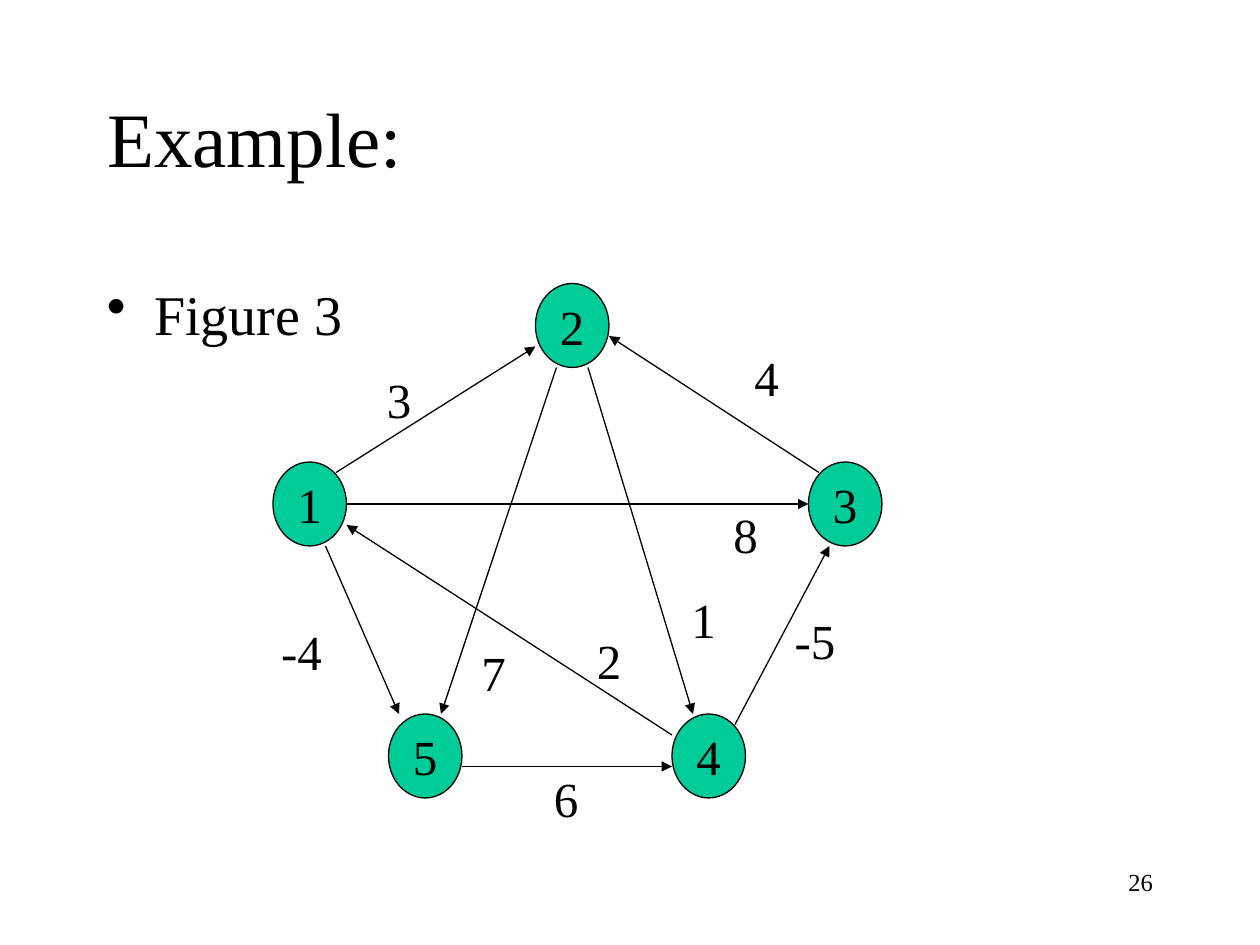
"""Build a slide with a weighted directed graph on five vertices."""
from dataclasses import dataclass

from lxml.etree import SubElement
from pptx import Presentation
from pptx.dml.color import RGBColor
from pptx.enum.shapes import MSO_CONNECTOR as Connector, MSO_SHAPE as Shape
from pptx.enum.text import MSO_ANCHOR as Anchor, MSO_AUTO_SIZE as AutoSize, PP_ALIGN as Align
from pptx.oxml.ns import qn
from pptx.util import Pt


@dataclass(frozen=True)
class Theme:
    font: str = "Times New Roman"
    ink: RGBColor = RGBColor(0x00, 0x00, 0x00)
    vertex_fill: RGBColor = RGBColor(0x00, 0xCC, 0x99)
    title_size: float = 44
    body_size: float = 32
    graph_size: float = 28
    number_size: float = 14
    line_width: float = 0.75


@dataclass(frozen=True)
class Vertex:
    name: str
    left: float
    top: float
    width: float = 42
    height: float = 48


@dataclass(frozen=True)
class Edge:
    start: tuple[float, float]
    end: tuple[float, float]
    weight: str
    label_left: float
    label_top: float


THEME = Theme()

VERTICES = [
    Vertex("1", 156, 264),
    Vertex("5", 222, 408),
    Vertex("4", 384, 408),
    Vertex("3", 462, 264),
    Vertex("2", 306, 162),
]

EDGES = [
    Edge((186, 312), (228, 408), "-4", 153.5, 351.5),
    Edge((192, 270), (306, 198), "3", 214, 207.5),
    Edge((468, 270), (348, 192), "4", 424, 195),
    Edge((198, 288), (462, 288), "8", 412, 285),
    Edge((264, 438), (384, 438), "6", 309.5, 435.5),
    Edge((420, 414), (474, 312), "-5", 447, 345.5),
    Edge((318, 210), (252, 408), "7", 268, 363.5),
    Edge((336, 210), (396, 408), "1", 388, 333.5),
    Edge((384, 420), (198, 300), "2", 334, 357),
]


def write(shape, text: str, size: float, align=Align.LEFT, anchor=Anchor.TOP, wrap: bool = True) -> None:
    frame = shape.text_frame
    frame.text = text
    frame.word_wrap = wrap
    frame.auto_size = AutoSize.NONE
    frame.vertical_anchor = anchor
    para = frame.paragraphs[0]
    para.alignment = align
    for span in para.runs:
        span.font.name = THEME.font
        span.font.size = Pt(size)
        span.font.color.rgb = THEME.ink


def add_text(page, left: float, top: float, width: float, height: float, text: str, size: float, **style):
    box = page.shapes.add_textbox(Pt(left), Pt(top), Pt(width), Pt(height))
    write(box, text, size, **style)
    return box


def add_title(page, text: str) -> None:
    title = page.shapes.title
    title.left, title.top, title.width, title.height = Pt(54), Pt(48), Pt(612), Pt(90)
    write(title, text, THEME.title_size)


def add_bullet(page, text: str) -> None:
    box = add_text(page, 54, 156, 618, 318, text, THEME.body_size)
    properties = box.text_frame.paragraphs[0]._p.get_or_add_pPr()
    properties.set("marL", str(Pt(27)))
    properties.set("indent", str(Pt(-27)))
    SubElement(properties, qn("a:buChar")).set("char", "•")


def add_vertex(page, vertex: Vertex) -> None:
    oval = page.shapes.add_shape(
        Shape.OVAL, Pt(vertex.left), Pt(vertex.top), Pt(vertex.width), Pt(vertex.height)
    )
    oval.shadow.inherit = False
    oval.fill.solid()
    oval.fill.fore_color.rgb = THEME.vertex_fill
    oval.line.color.rgb = THEME.ink
    oval.line.width = Pt(THEME.line_width)
    write(oval, vertex.name, THEME.graph_size, Align.CENTER, Anchor.MIDDLE, wrap=False)


def add_arrow(page, edge: Edge) -> None:
    arrow = page.shapes.add_connector(
        Connector.STRAIGHT, *(Pt(length) for length in edge.start + edge.end)
    )
    arrow.line.color.rgb = THEME.ink
    arrow.line.width = Pt(THEME.line_width)
    SubElement(arrow.line._get_or_add_ln(), qn("a:tailEnd")).set("type", "triangle")
    SubElement(arrow._element.spPr, qn("a:effectLst"))


def add_weight(page, edge: Edge) -> None:
    width = 28 if len(edge.weight) == 1 else 37.5
    add_text(page, edge.label_left, edge.label_top, width, 41, edge.weight, THEME.graph_size, wrap=False)


def main() -> None:
    deck = Presentation()
    deck.slide_width, deck.slide_height = Pt(720), Pt(540)
    page = deck.slides.add_slide(deck.slide_layouts[5])
    add_title(page, "Example:")
    add_text(page, 516, 492, 150, 36, "26", THEME.number_size, align=Align.RIGHT)
    for vertex in VERTICES:
        add_vertex(page, vertex)
    for edge in EDGES:
        add_arrow(page, edge)
    for edge in EDGES:
        add_weight(page, edge)
    add_bullet(page, "Figure 3")
    deck.save("out.pptx")


if __name__ == "__main__":
    main()
